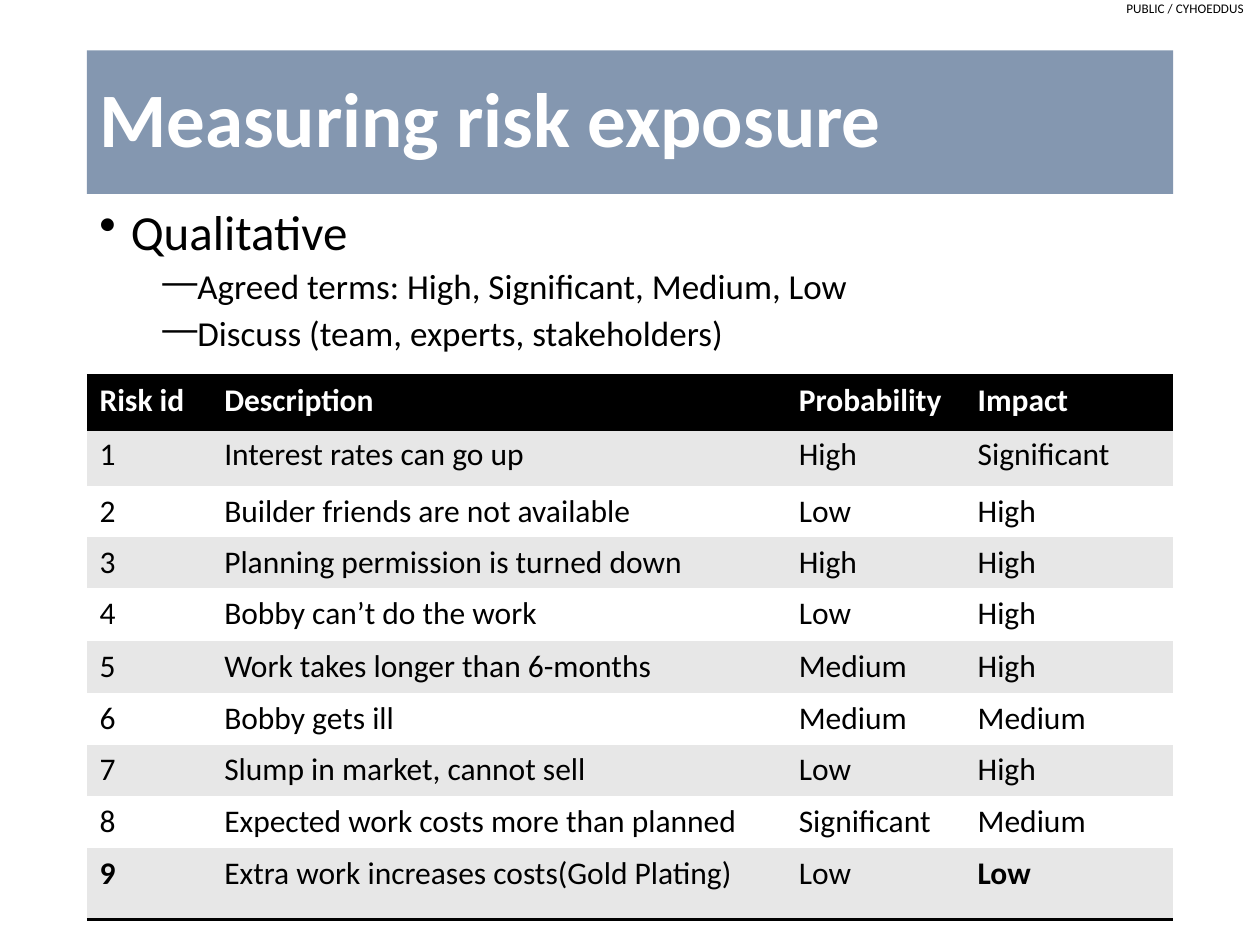
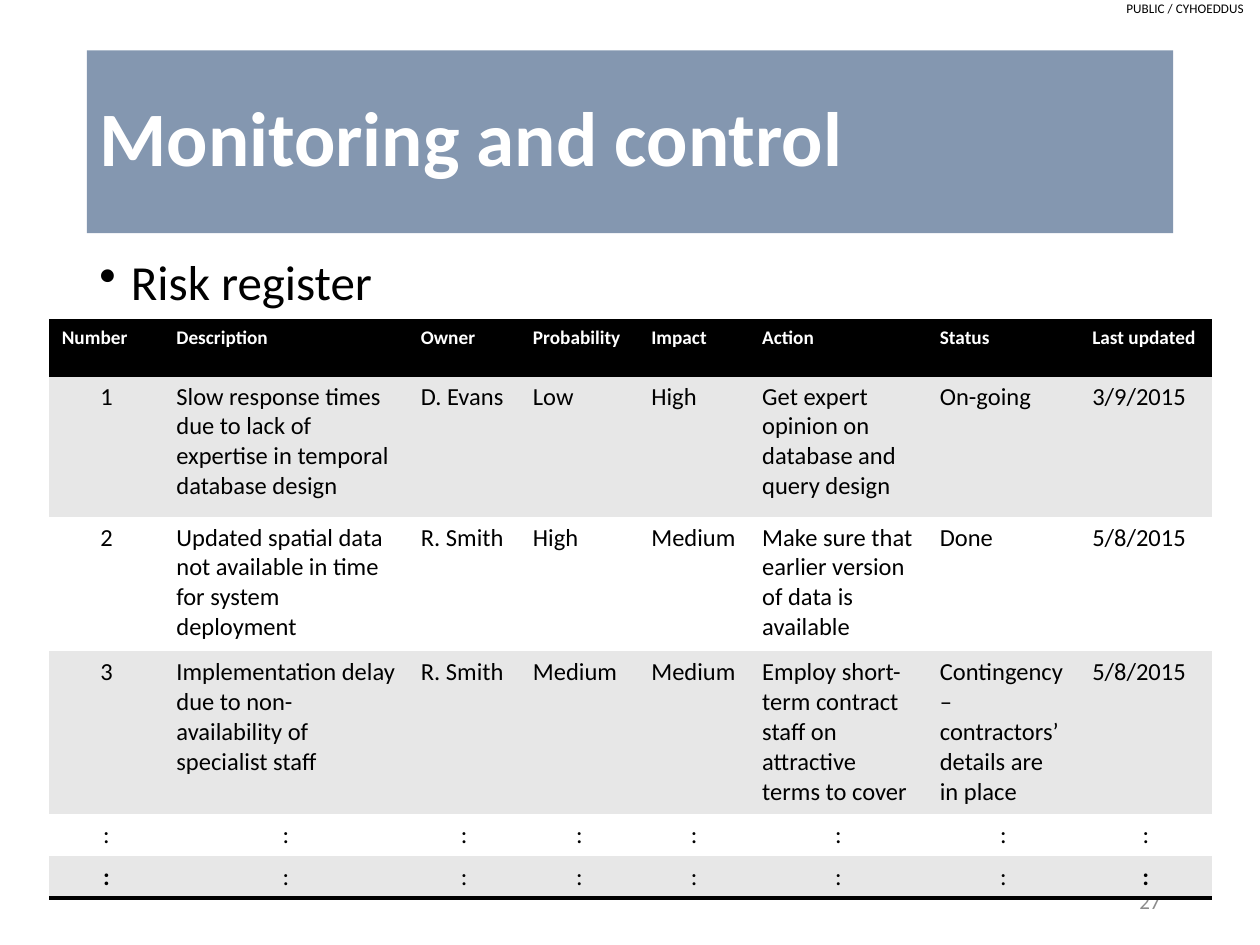
from lxml import etree
from pptx import Presentation
from pptx.dml.color import RGBColor
from pptx.enum.shapes import MSO_SHAPE
from pptx.enum.text import MSO_ANCHOR, PP_ALIGN
from pptx.oxml.ns import qn
from pptx.util import Inches, Pt

LEFT, CENTER, RIGHT = PP_ALIGN.LEFT, PP_ALIGN.CENTER, PP_ALIGN.RIGHT
TOP, MIDDLE = MSO_ANCHOR.TOP, MSO_ANCHOR.MIDDLE
RECTANGLE = MSO_SHAPE.RECTANGLE

FONT = "Calibri"
BLACK, WHITE, BAND, STRIPE, GREY = "000000", "FFFFFF", "8497B0", "E7E7E7", "8C8C8C"
PLAIN_TABLE_STYLE = "{2D5ABB26-0587-4C30-8999-92F81FD0307C}"
MARGIN, CONTENT_WIDTH = 0.69, 8.62
BULLETS = [
    {"char": "•", "size": 28, "margin": 0.25, "before": 10},
    {"char": "―", "size": 20, "margin": 0.75, "before": 5},
]

EXPOSURE = [
    ["Risk id", "Description", "Probability", "Impact"],
    ["1", "Interest rates can go up", "High", "Significant"],
    ["2", "Builder friends are not available", "Low", "High"],
    ["3", "Planning permission is turned down", "High", "High"],
    ["4", "Bobby can’t do the work", "Low", "High"],
    ["5", "Work takes longer than 6-months", "Medium", "High"],
    ["6", "Bobby gets ill", "Medium", "Medium"],
    ["7", "Slump in market, cannot sell", "Low", "High"],
    ["8", "Expected work costs more than planned", "Significant", "Medium"],
    ["9", "Extra work increases costs(Gold Plating)", "Low", "Low"],
]
REGISTER = [
    ["Number", "Description", "Owner", "Probability", "Impact", "Action",
     "Status", "Last updated"],
    ["1", "Slow response times due to lack of expertise in temporal database design",
     "D. Evans", "Low", "High", "Get expert opinion on database and query design",
     "On-going", "3/9/2015"],
    ["2", "Updated spatial data not available in time for system deployment",
     "R. Smith", "High", "Medium",
     "Make sure that earlier version of data is available", "Done", "5/8/2015"],
    ["3", "Implementation delay due to non-availability of specialist staff",
     "R. Smith", "Medium", "Medium",
     "Employ short-term contract staff on attractive terms to cover",
     "Contingency – contractors’ details are in place", "5/8/2015"],
    [":"] * 8,
    [":"] * 8,
]


def color(value):
    return RGBColor.from_string(value)


def apply(target, formats):
    for name, value in formats.items():
        setattr(target, name, value)


def write(para, text, size, ink=BLACK, bold=False, align=LEFT):
    para.alignment = align
    span = para.add_run()
    span.text = text
    apply(span.font, {"name": FONT, "size": Pt(size), "bold": bold})
    span.font.color.rgb = color(ink)


def add_box(page, left, top, width, height, anchor=TOP):
    box = page.shapes.add_textbox(*map(Inches, (left, top, width, height)))
    apply(box.text_frame, {"word_wrap": True, "vertical_anchor": anchor})
    return box.text_frame


def add_marking(page):
    frame = add_box(page, 8.92, 0, 0.95, 0.13)
    sides = ("left", "top", "right", "bottom")
    apply(frame, {f"margin_{side}": 0 for side in sides})
    write(frame.paragraphs[0], "PUBLIC / CYHOEDDUS", 7.5, align=RIGHT)


def add_title(page, text, height):
    band = page.shapes.add_shape(
        RECTANGLE, *map(Inches, (MARGIN, 0.4, CONTENT_WIDTH, height)))
    band.shadow.inherit = False
    band.fill.solid()
    band.fill.fore_color.rgb = color(BAND)
    band.line.fill.background()
    band.text_frame.vertical_anchor = MIDDLE
    para = band.text_frame.paragraphs[0]
    para.line_spacing = 0.9
    write(para, text, 44, WHITE, True)


def add_bullets(page, top, items):
    frame = add_box(page, MARGIN, top, CONTENT_WIDTH, 4.76)
    for index, (level, text) in enumerate(items):
        para = frame.add_paragraph() if index else frame.paragraphs[0]
        style = BULLETS[level]
        apply(para, {"level": level, "line_spacing": 0.9,
                     "space_before": Pt(style["before"] if index else 0)})
        props = para._p.get_or_add_pPr()
        props.set("marL", str(Inches(style["margin"])))
        props.set("indent", str(Inches(-0.25)))
        etree.SubElement(props, qn("a:buChar"), char=style["char"])
        write(para, text, style["size"])


def add_page_number(page, number):
    frame = add_box(page, 7.06, 6.95, 2.25, 0.4, MIDDLE)
    write(frame.paragraphs[0], number, 12, GREY, align=RIGHT)


def add_rule(cell, side):
    line = etree.SubElement(cell._tc.get_or_add_tcPr(), qn(f"a:ln{side}"),
                            w=str(Pt(2)))
    fill = etree.SubElement(line, qn("a:solidFill"))
    etree.SubElement(fill, qn("a:srgbClr"), val=BLACK)


def add_grid(page, left, top, widths, heights, rows, head_size, size, centered=()):
    frame = page.shapes.add_table(
        len(rows), len(widths),
        *map(Inches, (left, top, sum(widths), sum(heights))))
    table = frame.table
    table._tbl.tblPr.find(qn("a:tableStyleId")).text = PLAIN_TABLE_STYLE
    for column, width in zip(table.columns, widths):
        column.width = Inches(width)
    for row, height in zip(table.rows, heights):
        row.height = Inches(height)
    last_row, last_column = len(rows) - 1, len(widths) - 1
    for r, texts in enumerate(rows):
        for c, text in enumerate(texts):
            cell = table.cell(r, c)
            head = r == 0
            corner = r == last_row and c in (0, last_column)
            if head:
                add_rule(cell, "T")
            if r in (0, last_row):
                add_rule(cell, "B")
            cell.fill.solid()
            cell.fill.fore_color.rgb = color(
                BLACK if head else STRIPE if r % 2 else WHITE)
            middle = text == ":" or (c in centered and not head)
            write(cell.text_frame.paragraphs[0], text,
                  head_size if head else size, WHITE if head else BLACK,
                  head or corner, CENTER if middle else LEFT)


def add_page(deck, title, title_height):
    page = deck.slides.add_slide(deck.slide_layouts[6])
    add_marking(page)
    add_title(page, title, title_height)
    return page


def main():
    deck = Presentation()
    apply(deck, {"slide_width": Inches(10), "slide_height": Inches(7.5)})

    exposure = add_page(deck, "Measuring risk exposure", 1.14)
    add_bullets(exposure, 1.6, [
        (0, "Qualitative"),
        (1, "Agreed terms: High, Significant, Medium, Low"),
        (1, "Discuss (team, experts, stakeholders)"),
    ])
    add_grid(exposure, MARGIN, 2.98, [0.99, 4.56, 1.42, 1.65],
             [0.43, 0.45, 0.4, 0.41, 0.42, 0.41, 0.41, 0.41, 0.41, 0.57],
             EXPOSURE, 18, 18)

    control = add_page(deck, "Monitoring and control", 1.45)
    add_bullets(control, 2, [(0, "Risk register")])
    add_page_number(control, "27")
    add_grid(control, 0.39, 2.54,
             [0.91, 1.94, 0.89, 0.94, 0.88, 1.41, 1.21, 1.05],
             [0.44, 1.12, 1.07, 1.29, 0.33, 0.33],
             REGISTER, 11, 14, centered=(0,))

    deck.save("out.pptx")


if __name__ == "__main__":
    main()
